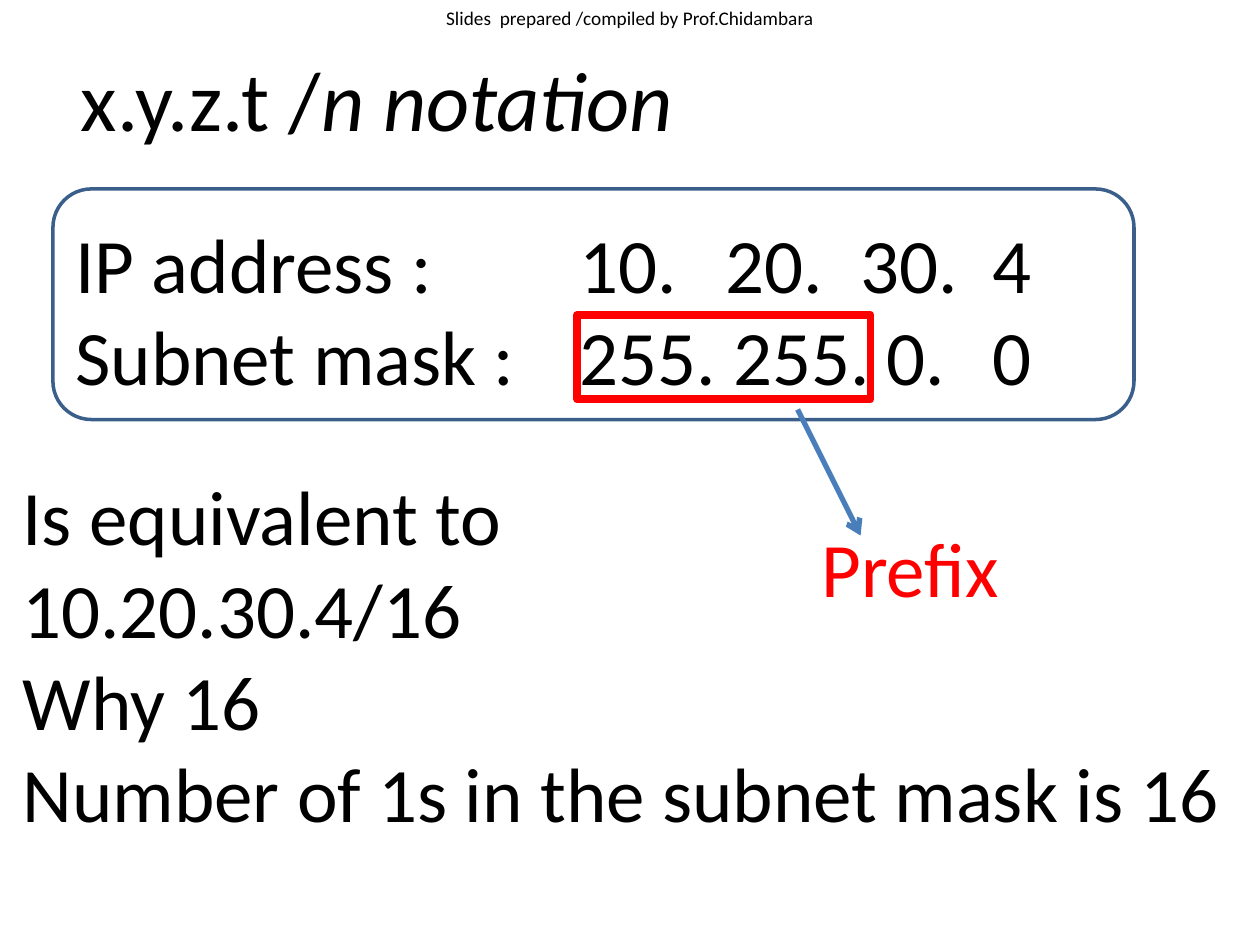
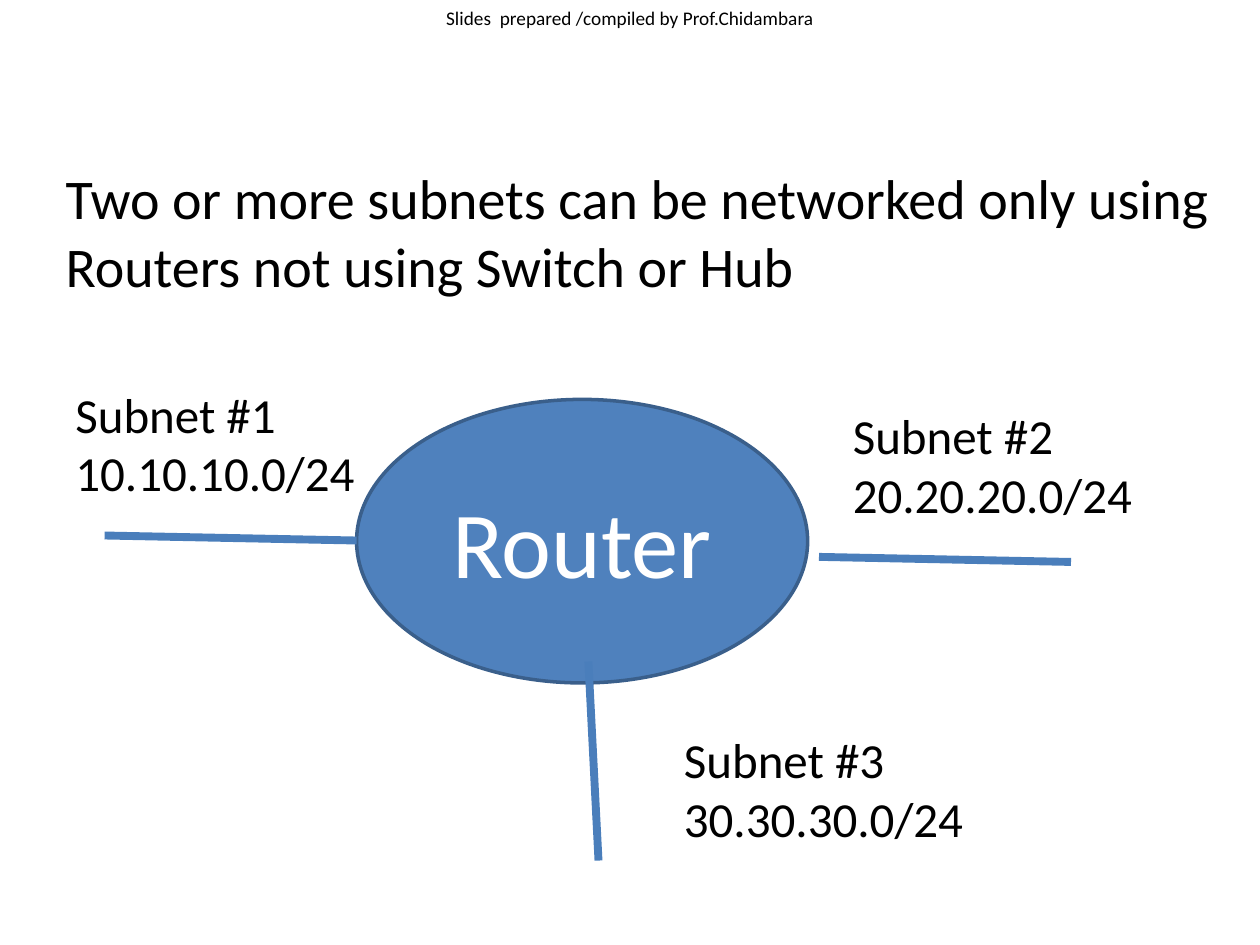
from dataclasses import dataclass
from typing import NamedTuple

from lxml.etree import SubElement
from pptx import Presentation
from pptx.dml.color import RGBColor
from pptx.enum.shapes import MSO_CONNECTOR, MSO_SHAPE
from pptx.enum.text import MSO_ANCHOR, MSO_AUTO_SIZE, PP_ALIGN
from pptx.oxml.ns import qn
from pptx.util import Emu, Pt

EMU_PER_PX = 9144


class Box(NamedTuple):
    """Left, top, width and height in px."""

    left: int
    top: int
    width: int
    height: int


class Line(NamedTuple):
    """Start and end of a straight line in px."""

    start_x: int
    start_y: int
    end_x: int
    end_y: int


@dataclass(frozen=True)
class Theme:
    """Colours, font, type sizes and line widths of the deck."""

    font: str = "Calibri"
    text: str = "000000"
    inverse: str = "FFFFFF"
    accent: str = "FF0000"
    fill: str = "4F81BD"
    outline: str = "3A5F8B"
    link: str = "4A7EBB"
    header_size: int = 11
    label_size: int = 28
    statement_size: int = 32
    body_size: int = 44
    title_size: int = 48
    router_size: int = 54
    thin: float = 2
    medium: float = 3
    thick: float = 4.5


@dataclass(frozen=True)
class Subnet:
    """A numbered subnet with its label position and its cable."""

    number: int
    left: int
    top: int
    cable: Line

    @property
    def lines(self) -> list[str]:
        """Return the name and the network address."""
        octet = self.number * 10
        return [f"Subnet #{self.number}", f"{octet}.{octet}.{octet}.0/24"]


THEME = Theme()
SUBNETS = [
    Subnet(1, 50, 300, Line(83, 425, 283, 429)),
    Subnet(2, 667, 317, Line(650, 442, 850, 446)),
    Subnet(3, 533, 574, Line(467, 525, 475, 683)),
]
ADDRESS_TABS = (400, 516, 623, 728)


def px(length: int) -> Emu:
    """Convert px to EMU."""
    return Emu(length * EMU_PER_PX)


def place(shape, box: Box) -> None:
    """Move and size a shape."""
    shape.left, shape.top, shape.width, shape.height = map(px, box)


def remove_bullet(paragraph) -> None:
    """Clear the bullet and hanging indent of a placeholder paragraph."""
    properties = paragraph._p.get_or_add_pPr()
    properties.set("marL", "0")
    properties.set("indent", "0")
    SubElement(properties, qn("a:buNone"))


def set_tabs(paragraph, tabs: tuple[int, ...]) -> None:
    """Give a paragraph left tab stops."""
    properties = paragraph._p.get_or_add_pPr()
    properties.set("defTabSz", str(int(px(tabs[0]))))
    stops = SubElement(properties, qn("a:tabLst"))
    for tab in tabs:
        SubElement(stops, qn("a:tab"), pos=str(int(px(tab))), algn="l")


def write(shape, lines: list[str], *, size: int, color: str = THEME.text,
          align=PP_ALIGN.LEFT, anchor=MSO_ANCHOR.TOP, wrap: bool = True,
          tabs: tuple[int, ...] = (), italic_tail: str = "") -> None:
    """Fill a shape with plain, unbulleted paragraphs."""
    frame = shape.text_frame
    frame.word_wrap = wrap
    frame.auto_size = MSO_AUTO_SIZE.NONE
    frame.vertical_anchor = anchor
    for index, line in enumerate(lines):
        paragraph = frame.add_paragraph() if index else frame.paragraphs[0]
        paragraph.alignment = align
        paragraph.space_before = Pt(0)
        if shape.is_placeholder:
            remove_bullet(paragraph)
        if tabs:
            set_tabs(paragraph, tabs)
        paragraph.add_run().text = line
    if italic_tail:
        run = paragraph.add_run()
        run.text = italic_tail
        run.font.italic = True
    for paragraph in frame.paragraphs:
        for run in paragraph.runs:
            run.font.name = THEME.font
            run.font.size = Pt(size)
            run.font.color.rgb = RGBColor.from_string(color)


def add_text(slide, box: Box, lines: list[str], **text_format):
    """Add a text box."""
    shape = slide.shapes.add_textbox(*map(px, box))
    write(shape, lines, **text_format)
    return shape


def fill_placeholder(shape, box: Box, lines: list[str], **text_format) -> None:
    """Move a placeholder and write its text."""
    place(shape, box)
    write(shape, lines, **text_format)


def add_outline(slide, kind: MSO_SHAPE, box: Box, color: str, width: float, fill: str = ""):
    """Add an outlined preset shape, hollow unless a fill is given."""
    shape = slide.shapes.add_shape(kind, *map(px, box))
    shape.shadow.inherit = False
    shape.line.color.rgb = RGBColor.from_string(color)
    shape.line.width = Pt(width)
    if fill:
        shape.fill.solid()
        shape.fill.fore_color.rgb = RGBColor.from_string(fill)
    else:
        shape.fill.background()
    return shape


def add_line(slide, line: Line, width: float, arrow: bool = False) -> None:
    """Add a straight connector, with an open arrowhead on request."""
    connector = slide.shapes.add_connector(MSO_CONNECTOR.STRAIGHT, *map(px, line))
    connector.line.color.rgb = RGBColor.from_string(THEME.link)
    connector.line.width = Pt(width)
    if arrow:
        SubElement(connector.line._get_or_add_ln(), qn("a:tailEnd"), type="arrow")
    SubElement(connector.element.spPr, qn("a:effectLst"))


def add_master_header(presentation, slide) -> None:
    """Put the credit line on the slide master."""
    header = add_text(slide, Box(0, 0, 1000, 28),
                      ["Slides  prepared /compiled by Prof.Chidambara"],
                      size=THEME.header_size, align=PP_ALIGN.CENTER)
    header.element.nvSpPr.cNvPr.set("id", "20")
    presentation.slide_master.shapes.element.append(header.element)


def build_notation_slide(presentation):
    """Build the slide on prefix notation."""
    slide = presentation.slides.add_slide(presentation.slide_layouts[1])
    fill_placeholder(slide.shapes.title, Box(54, 33, 620, 90), ["x.y.z.t /"],
                     size=THEME.title_size, wrap=False, italic_tail="n notation")
    fill_placeholder(slide.placeholders[1], Box(8, 367, 1042, 376),
                     ["Is equivalent to", "10.20.30.4/16", "Why 16",
                      "Number of 1s in the subnet mask is 16"], size=THEME.body_size)
    add_text(slide, Box(50, 167, 950, 370),
             ["IP address :\t10.\t20.\t30.\t4", "Subnet mask :\t255. 255. 0.\t0"],
             size=THEME.body_size, tabs=ADDRESS_TABS)
    add_outline(slide, MSO_SHAPE.RECTANGLE, Box(458, 250, 233, 67), THEME.accent, THEME.thick)
    add_outline(slide, MSO_SHAPE.ROUNDED_RECTANGLE, Box(42, 150, 858, 183),
                THEME.outline, THEME.thin)
    add_text(slide, Box(642, 408, 208, 83), ["Prefix"],
             size=THEME.body_size, color=THEME.accent)
    add_line(slide, Line(633, 325, 683, 425), THEME.medium, arrow=True)
    return slide


def build_router_slide(presentation) -> None:
    """Build the slide on subnets joined by a router."""
    slide = presentation.slides.add_slide(presentation.slide_layouts[5])
    fill_placeholder(slide.shapes.title, Box(42, 125, 958, 170),
                     ["Two or more subnets can be networked only using "
                      "Routers not using Switch or Hub"], size=THEME.statement_size)
    router = add_outline(slide, MSO_SHAPE.OVAL, Box(283, 317, 358, 225),
                         THEME.outline, THEME.thin, THEME.fill)
    write(router, ["Router"], size=THEME.router_size, color=THEME.inverse,
          align=PP_ALIGN.CENTER, anchor=MSO_ANCHOR.MIDDLE)
    for subnet in SUBNETS:
        add_line(slide, subnet.cable, THEME.thick)
        add_text(slide, Box(subnet.left, subnet.top, 267, 196), subnet.lines,
                 size=THEME.label_size)


def main() -> None:
    """Build and save the presentation."""
    presentation = Presentation()
    presentation.slide_width, presentation.slide_height = px(1000), px(750)
    notation_slide = build_notation_slide(presentation)
    add_master_header(presentation, notation_slide)
    build_router_slide(presentation)
    presentation.save("out.pptx")


if __name__ == "__main__":
    main()
